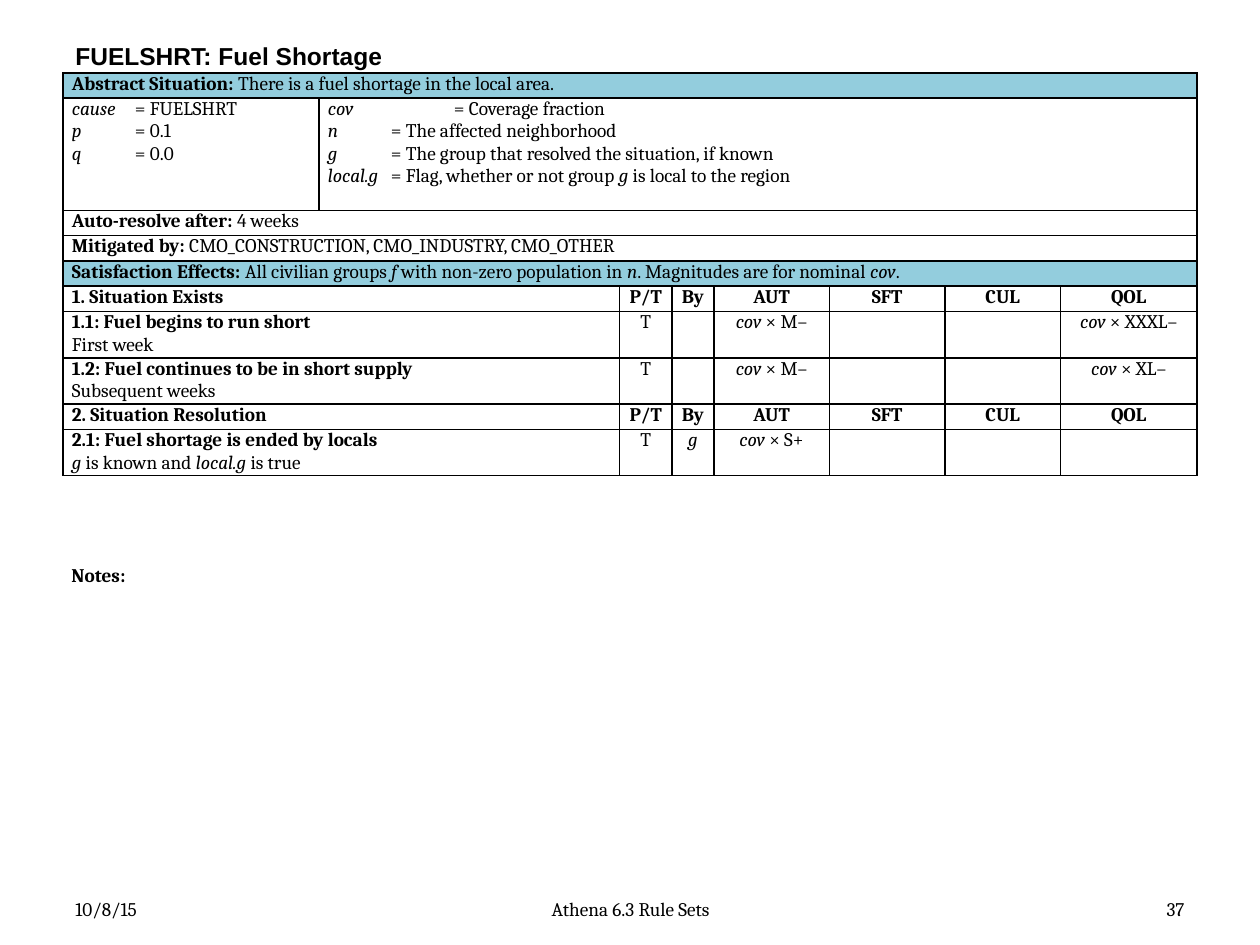
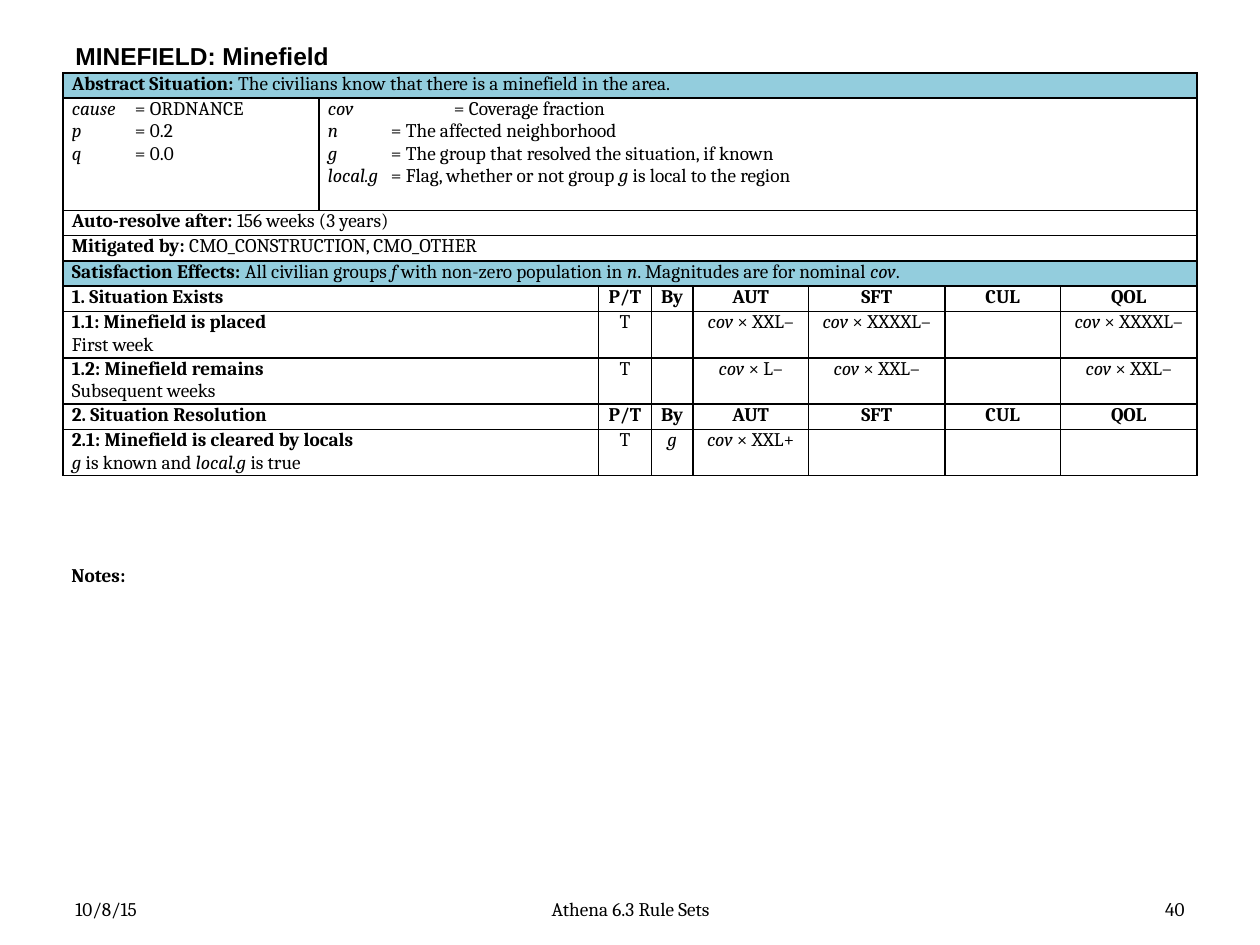
from dataclasses import dataclass

from lxml.etree import SubElement
from pptx import Presentation
from pptx.dml.color import RGBColor
from pptx.enum.text import MSO_ANCHOR, PP_ALIGN
from pptx.oxml.ns import qn
from pptx.util import Cm, Pt

COLORS = {"text": "000000", "border": "000000", "band": "93CDDD", "plain": "FFFFFF"}
BODY_FONT, TITLE_FONT = "Cambria", "Arial"
BODY_SIZE = 11
MARGIN, CONTENT_W = 1.27, 22.86
TABLE_TOP = 1.47
CAUSE_W, TYPE_W, BY_W = 5.16, 1.06, 0.84
CONCERNS = ("AUT", "SFT", "CUL", "QOL")
HEADINGS = ("P/T", "By", *CONCERNS)
LINE_H, VARIABLES_H, RULE_H = 0.51, 2.26, 0.9
TAB, WIDE_TAB = 1.27, 2.54
VARIABLES = (
    "*cov*\t= Coverage fraction",
    "*n*\t= The affected neighborhood",
    "*g*\t= The group that resolved the situation, if known",
    "*local.g*\t= Flag, whether or not group *g* is local to the region",
)
SCOPE = ("Satisfaction Effects:| All civilian groups *f* with non-zero population "
         "in *n*. Magnitudes are for nominal *cov*.")


@dataclass
class Rule:
    name: str
    condition: str
    ratings: dict[str, str]
    by: str = ""

    def texts(self) -> list[str]:
        levels = [f"*cov* × {self.ratings[c]}" if c in self.ratings else ""
                  for c in CONCERNS]
        return [f"{self.name}|\n{self.condition}", "T", self.by, *levels]


@dataclass
class RuleSet:
    title: str
    page: int
    situation: str
    cause: str
    p: str
    q: str
    duration: str
    mitigated_by: str
    concern_widths: tuple[float, ...]
    existence: list[Rule]
    resolution: list[Rule]


@dataclass
class Row:
    height: float
    texts: list[str]
    spans: tuple[int, ...]
    color: str = "plain"


@dataclass
class Box:
    left: float
    top: float
    width: float
    height: float
    align: PP_ALIGN = PP_ALIGN.LEFT
    anchor: MSO_ANCHOR = MSO_ANCHOR.MIDDLE


TITLE = Box(MARGIN, 0.76, CONTENT_W, 0.71)
NOTES = Box(1.19, 11.23, 23.06, 0.74, anchor=MSO_ANCHOR.TOP)
DATE = Box(MARGIN, 17.98, 5.92, 0.69)
FOOTER = Box(8.69, 17.98, 8.05, 0.69, PP_ALIGN.CENTER)
PAGE = Box(18.21, 17.98, 5.92, 0.69, PP_ALIGN.RIGHT)


def write(p, text: str, *, font: str = BODY_FONT, size: int = BODY_SIZE,
          bold: bool = False, align: PP_ALIGN = PP_ALIGN.LEFT) -> None:
    p.alignment = align
    lead, _, rest = text.rpartition("|")
    for phrase, heavy in ((lead, True), (rest, bold)):
        for i, part in enumerate(phrase.split("*")):
            if part:
                r = p.add_run()
                r.text = part
                r.font.name, r.font.size = font, Pt(size)
                r.font.bold, r.font.italic = heavy, i % 2 == 1
                r.font.color.rgb = RGBColor.from_string(COLORS["text"])


def add_text(s, box: Box, text: str, **style) -> None:
    sp = s.shapes.add_textbox(Cm(box.left), Cm(box.top), Cm(box.width), Cm(box.height))
    tf = sp.text_frame
    tf.word_wrap = True
    tf.vertical_anchor = box.anchor
    write(tf.paragraphs[0], text, align=box.align, **style)


def set_tab(p, position: float) -> None:
    tabs = SubElement(p._p.get_or_add_pPr(), qn("a:tabLst"))
    SubElement(tabs, qn("a:tab"), pos=str(Cm(position)), algn="l")


def style_cell(cell, color: str) -> None:
    tc_pr = cell._tc.get_or_add_tcPr()
    for side in ("a:lnL", "a:lnR", "a:lnT", "a:lnB"):
        ln = SubElement(tc_pr, qn(side), w=str(Pt(1)))
        fill = SubElement(ln, qn("a:solidFill"))
        SubElement(fill, qn("a:srgbClr"), val=COLORS["border"])
    cell.fill.solid()
    cell.fill.fore_color.rgb = RGBColor.from_string(COLORS[color])
    cell.margin_left = cell.margin_right = Cm(0.18)
    cell.margin_top = cell.margin_bottom = 0
    end = cell.text_frame.paragraphs[0]._p.get_or_add_endParaRPr()
    end.set("sz", str(BODY_SIZE * 100))


def fill_cell(cell, text: str, **style) -> None:
    tf = cell.text_frame
    for i, line in enumerate(text.split("\n")):
        p = tf.add_paragraph() if i else tf.paragraphs[0]
        if "\t" in line:
            set_tab(p, WIDE_TAB if line.startswith("*cov*") else TAB)
        write(p, line, **style)


def section_rows(heading: str, rules: list[Rule]) -> list[Row]:
    spans = (2,) + (1,) * len(HEADINGS)
    titles = [f"{text}|" for text in (heading, *HEADINGS)]
    return [Row(LINE_H, titles, spans),
            *(Row(RULE_H, rule.texts(), spans) for rule in rules)]


def table_rows(rs: RuleSet) -> list[Row]:
    causes = f"*cause*\t= {rs.cause}\n*p*\t= {rs.p}\n*q*\t= {rs.q}"
    return [
        Row(LINE_H, [f"Abstract Situation:| {rs.situation}"], (8,), "band"),
        Row(VARIABLES_H, [causes, "\n".join(VARIABLES)], (1, 7)),
        Row(LINE_H, [f"Auto-resolve after:| {rs.duration}"], (8,)),
        Row(LINE_H, [f"Mitigated by:| {rs.mitigated_by}"], (8,)),
        Row(LINE_H, [SCOPE], (8,), "band"),
        *section_rows("1. Situation Exists", rs.existence),
        *section_rows("2. Situation Resolution", rs.resolution),
    ]


def add_rule_table(s, rs: RuleSet) -> None:
    rows = table_rows(rs)
    fixed = (TYPE_W, BY_W, *rs.concern_widths)
    widths = (CAUSE_W, CONTENT_W - CAUSE_W - sum(fixed), *fixed)
    table = s.shapes.add_table(
        len(rows), len(widths), Cm(MARGIN), Cm(TABLE_TOP),
        Cm(CONTENT_W), Cm(sum(row.height for row in rows))).table
    table.first_row = table.horz_banding = False
    for column, width in zip(table.columns, widths):
        column.width = Cm(width)
    for r, row in enumerate(rows):
        table.rows[r].height = Cm(row.height)
        for c in range(len(widths)):
            style_cell(table.cell(r, c), row.color)
        c = 0
        for text, span in zip(row.texts, row.spans):
            cell = table.cell(r, c)
            if span > 1:
                cell.merge(table.cell(r, c + span - 1))
            fill_cell(cell, text, align=PP_ALIGN.CENTER if c > 1 else PP_ALIGN.LEFT)
            c += span


def add_rule_slide(prs, rs: RuleSet) -> None:
    s = prs.slides.add_slide(prs.slide_layouts[6])
    add_text(s, TITLE, rs.title, font=TITLE_FONT, size=14, bold=True)
    add_text(s, DATE, "10/8/15")
    add_text(s, FOOTER, "Athena 6.3 Rule Sets")
    add_text(s, PAGE, str(rs.page))
    add_rule_table(s, rs)
    add_text(s, NOTES, "Notes:", bold=True)


BY_LOCALS = "*g* is known and *local.g* is true"
RULE_SETS = [
    RuleSet(
        "FUELSHRT: Fuel Shortage", 37, "There is a fuel shortage in the local area.",
        "FUELSHRT", "0.1", "0.0", "4 weeks",
        "CMO_CONSTRUCTION, CMO_INDUSTRY, CMO_OTHER",
        (2.33, 2.33, 2.33, 2.75),
        [Rule("1.1: Fuel begins to run short", "First week",
              {"AUT": "M–", "QOL": "XXXL–"}),
         Rule("1.2: Fuel continues to be in short supply", "Subsequent weeks",
              {"AUT": "M–", "QOL": "XL–"})],
        [Rule("2.1: Fuel shortage is ended by locals", BY_LOCALS,
              {"AUT": "S+"}, "*g*")],
    ),
    RuleSet(
        "MINEFIELD: Minefield", 40,
        "The civilians know that there is a minefield in the area.",
        "ORDNANCE", "0.2", "0.0", "156 weeks (3 years)",
        "CMO_CONSTRUCTION, CMO_OTHER",
        (2.33, 2.75, 2.33, 2.75),
        [Rule("1.1: Minefield is placed", "First week",
              {"AUT": "XXL–", "SFT": "XXXXL–", "QOL": "XXXXL–"}),
         Rule("1.2: Minefield remains", "Subsequent weeks",
              {"AUT": "L–", "SFT": "XXL–", "QOL": "XXL–"})],
        [Rule("2.1: Minefield is cleared by locals", BY_LOCALS,
              {"AUT": "XXL+"}, "*g*")],
    ),
]


def main() -> None:
    prs = Presentation()
    prs.slide_width, prs.slide_height = Cm(25.4), Cm(19.05)
    for rs in RULE_SETS:
        add_rule_slide(prs, rs)
    prs.save("out.pptx")


if __name__ == "__main__":
    main()
